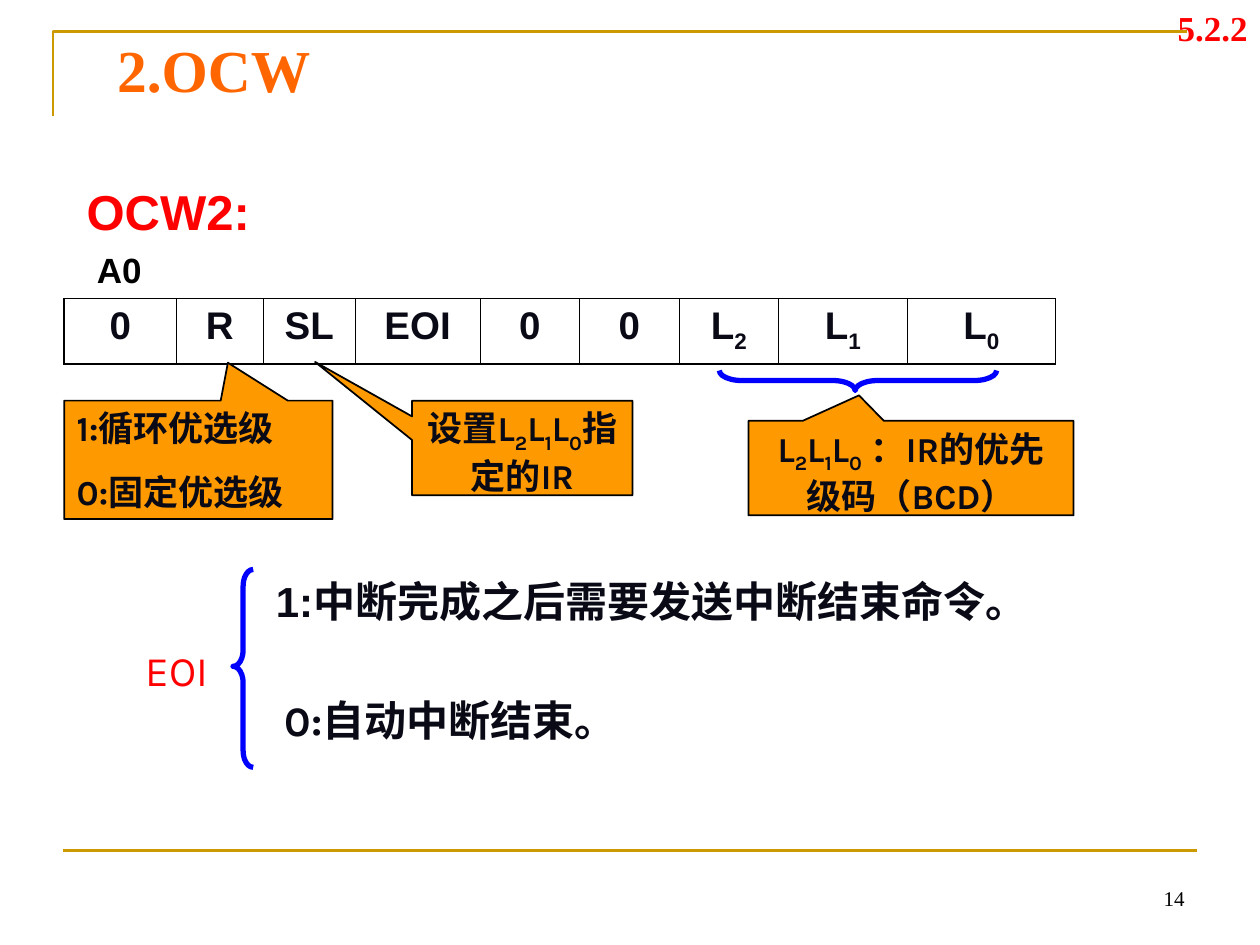
from lxml.etree import SubElement
from pptx import Presentation
from pptx.dml.color import RGBColor
from pptx.enum.shapes import MSO_CONNECTOR, MSO_SHAPE
from pptx.enum.text import MSO_ANCHOR, PP_ALIGN
from pptx.oxml.ns import qn
from pptx.util import Inches, Pt

LEFT, CENTER, RIGHT = PP_ALIGN.LEFT, PP_ALIGN.CENTER, PP_ALIGN.RIGHT
GOLD, ORANGE, RED, BLUE = "CC9900", "FF9900", "FF0000", "0000FF"
INK, BLACK = "090A15", "000000"
SERIF, SANS, KARLA = "Times New Roman", "Arial", "Karla"

# Content; "_" puts the next character in subscript
TITLE = "2.OCW"
FIELDS = [("0", 0.89), ("R", 0.69), ("SL", 0.73), ("EOI", 0.99), ("0", 0.79),
          ("0", 0.79), ("L_2", 0.79), ("L_1", 1.02), ("L_0", 1.18)]
# lines, box, pointer tip relative to the centre, alignment
CALLOUTS = [
    (["设置L_2L_1L_0指定的IR"], (3.27, 3.18, 1.75, 0.75), (-0.94, -0.91), CENTER),
    (["L_2L_1L_0 ：IR的优先级码（BCD）"], (5.94, 3.34, 2.58, 0.75), (-0.16, -0.77), CENTER),
    (["1:循环优选级", "0:固定优选级"], (0.51, 3.18, 2.13, 0.94), (0.11, -0.82), LEFT),
]
# text, box, size, font, colour, bold, alignment
LABELS = [
    ("5.2.2", (9.02, 0, 0.98, 0.44), 20, SERIF, RED, True, RIGHT),
    ("OCW2:", (0.59, 1.39, 1.73, 0.57), 28, SANS, RED, True, LEFT),
    ("A0", (0.67, 1.92, 0.71, 0.44), 20, SANS, BLACK, True, LEFT),
    ("1:中断完成之后需要发送中断结束命令。", (2.09, 4.52, 6.38, 0.5), 24, SANS, INK, True, LEFT),
    ("EOI", (1.06, 5.07, 0.79, 0.5), 24, KARLA, RED, False, LEFT),
    ("0:自动中断结束。", (2.16, 5.46, 4.78, 0.5), 24, KARLA, INK, True, LEFT),
    ("14", (7.17, 6.98, 2.33, 0.35), 12, SERIF, BLACK, False, RIGHT),
]
# box, rotation, curve radius
BRACES = [((6.73, 1.92, 0.16, 2.2), 270, 1.12),
          ((1.85, 4.52, 0.16, 1.57), 0, 0.81)]


def color(value):
    return RGBColor.from_string(value)


def inches(box):
    return [Inches(length) for length in box]


def set_line(shape, value, width):
    shape.line.color.rgb = color(value)
    shape.line.width = Pt(width)


def write(frame, lines, size, font, value, bold=True, align=LEFT, gap=0):
    frame.word_wrap = True
    frame.vertical_anchor = MSO_ANCHOR.TOP
    for index, line in enumerate(lines):
        paragraph = frame.add_paragraph() if index else frame.paragraphs[0]
        paragraph.alignment = align
        paragraph.space_before = Pt(gap if index else 0)
        first, *rest = line.split("_")
        paragraph.add_run().text = first
        for part in rest:
            subscript = paragraph.add_run()
            subscript.text = part[0]
            subscript._r.get_or_add_rPr().set("baseline", "-25000")
            if part[1:]:
                paragraph.add_run().text = part[1:]
        paragraph.font.size = Pt(size)
        paragraph.font.name = font
        paragraph.font.bold = bold
        paragraph.font.color.rgb = color(value)


def add_border(cell, side, width):
    line = SubElement(cell._tc.get_or_add_tcPr(), qn(f"a:{side}"), w=str(Pt(width)))
    fill = SubElement(line, qn("a:solidFill"))
    SubElement(fill, qn("a:srgbClr"), val=BLACK)


presentation = Presentation()
presentation.slide_width, presentation.slide_height = Inches(10), Inches(7.5)
slide = presentation.slides.add_slide(presentation.slide_layouts[5])
shapes = slide.shapes

# Frame lines
builder = shapes.build_freeform(Inches(0.42), Inches(0.92))
builder.add_line_segments([inches((0.42, 0.25)), inches((9.42, 0.25))], close=False)
corner = builder.convert_to_shape()
corner.shadow.inherit = False
corner.fill.background()
set_line(corner, GOLD, 1.5)
footer = shapes.add_connector(MSO_CONNECTOR.STRAIGHT, *inches((0.5, 6.75, 9.5, 6.75)))
set_line(footer, GOLD, 1.5)
SubElement(footer._element.spPr, qn("a:effectLst"))

# Title
title = shapes.title
title.left, title.top, title.width, title.height = inches((0.83, 0.21, 8.5, 1.07))
write(title.text_frame, [TITLE], 34, SERIF, "FF6600")

# Command word table
total = sum(width for _, width in FIELDS)
table = shapes.add_table(1, len(FIELDS), *inches((0.51, 2.37, total, 0.52))).table
table.first_row = table.horz_banding = False
for index, (name, width) in enumerate(FIELDS):
    table.columns[index].width = Inches(width)
    cell = table.cell(0, index)
    write(cell.text_frame, [name], 22, SANS, INK, align=CENTER)
    add_border(cell, "lnL", 0.45 if index else 1.08)
    add_border(cell, "lnR", 0.45 if index < len(FIELDS) - 1 else 1.08)
    add_border(cell, "lnT", 1.08)
    add_border(cell, "lnB", 1.08)
    cell.fill.background()

# Callouts
for lines, box, tip, align in CALLOUTS:
    callout = shapes.add_shape(MSO_SHAPE.RECTANGULAR_CALLOUT, *inches(box))
    callout.adjustments[0], callout.adjustments[1] = tip
    callout.shadow.inherit = False
    callout.fill.solid()
    callout.fill.fore_color.rgb = color(ORANGE)
    set_line(callout, BLACK, 1)
    write(callout.text_frame, lines, 20, KARLA, INK, align=align, gap=12.5)

# Braces
for box, rotation, radius in BRACES:
    brace = shapes.add_shape(MSO_SHAPE.LEFT_BRACE, *inches(box))
    brace.adjustments[0], brace.adjustments[1] = radius, 0.49
    brace.rotation = rotation
    brace.shadow.inherit = False
    brace.fill.background()
    set_line(brace, BLUE, 3)

# Labels
for text, box, size, font, value, bold, align in LABELS:
    label = shapes.add_textbox(*inches(box))
    write(label.text_frame, [text], size, font, value, bold, align)

presentation.save("out.pptx")
